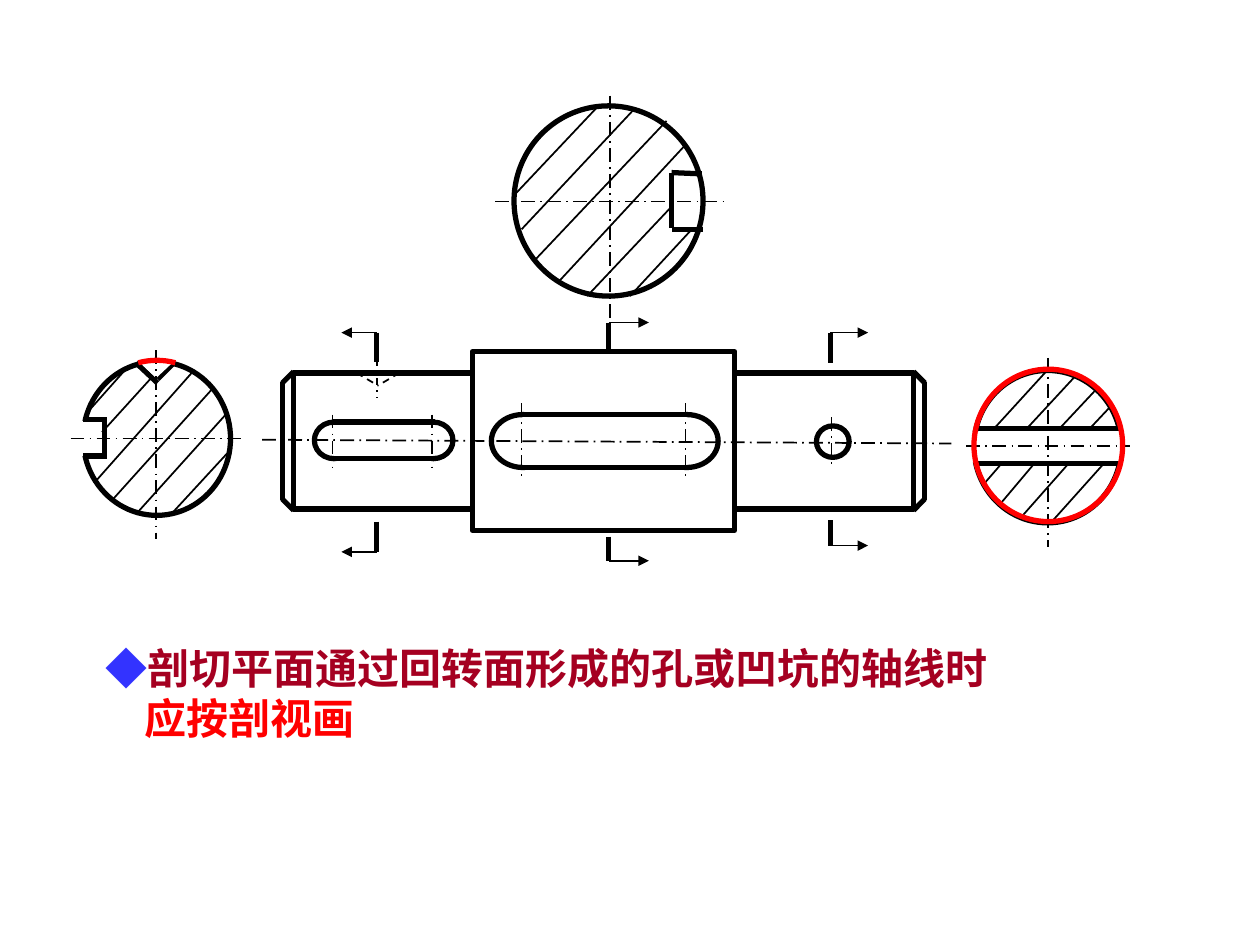
from dataclasses import dataclass

from lxml import etree
from pptx import Presentation
from pptx import util as u
from pptx.dml.color import RGBColor
from pptx.enum import dml, shapes, text
from pptx.oxml.ns import qn

BLACK, WHITE, RED = "000000", "FFFFFF", "FF0000"
BLUE, MAROON = "3333FF", "A50021"
THIN, THICK = 1, 3
DASH = dml.MSO_LINE.DASH
CENTRE = dml.MSO_LINE.LONG_DASH_DOT
KIND = shapes.MSO_SHAPE


@dataclass
class Cut:
    """Cutting-plane mark: two thick strokes with arrows in one direction."""
    x: float
    top: tuple[float, float]
    bottom: tuple[float, float]
    arrow: float


@dataclass
class Keyway:
    """Slot with round ends, given by its end centres."""
    left: float
    right: float
    top: float
    height: float
    end_width: float
    axis: tuple[float, float]


@dataclass
class ShaftEnd:
    """Outer step of the shaft with a chamfer on its free side."""
    left: float
    chamfer: float
    tip: float


CUTS = [
    Cut(4.83, (2.56, 2.77), (4.26, 4.45), 0.32),
    Cut(6.59, (2.64, 2.88), (4.13, 4.33), 0.3),
    Cut(2.99, (2.64, 2.87), (4.14, 4.38), -0.28),
]
KEYWAYS = [
    Keyway(2.64, 3.43, 3.35, 0.29, 0.31, (3.29, 3.71)),
    Keyway(4.14, 5.44, 3.29, 0.42, 0.5, (3.2, 3.8)),
]
ENDS = [ShaftEnd(2.33, 2.33, 2.24), ShaftEnd(5.83, 7.25, 7.34)]

# Hatching strokes: x1, y1, x2, y2
MIDDLE_HATCH = [
    (5, 2.35, 5.5, 1.81), (4.24, 2.07, 5.29, 0.96), (4.14, 1.82, 5.03, 0.87),
    (4.08, 1.55, 4.75, 0.84), (4.43, 2.24, 5.44, 1.15), (4.66, 2.35, 5.33, 1.64),
]
RIGHT_HATCH = [
    (8.16, 3.39, 8.53, 2.99), (7.9, 3.39, 8.32, 2.93), (8.42, 3.39, 8.71, 3.08),
    (8.65, 3.4, 8.82, 3.22), (8.2, 3.69, 7.93, 4.01), (7.81, 3.84, 7.94, 3.69),
    (8.1, 4.11, 8.48, 3.68), (8.33, 4.16, 8.76, 3.68),
]
LEFT_HATCH = [
    (1.08, 4.08, 1.81, 3.27), (0.89, 3.97, 1.7, 3.07), (0.75, 3.83, 1.53, 2.95),
    (0.81, 3.43, 1.2, 3), (0.67, 3.3, 0.99, 2.94), (1.35, 4.09, 1.82, 3.58),
]

prs = Presentation()
prs.slide_width, prs.slide_height = u.Inches(10), u.Inches(7.5)
s = prs.slides.add_slide(prs.slide_layouts[6])


def rgb(color: str) -> RGBColor:
    return RGBColor.from_string(color)


def line(x1: float, y1: float, x2: float, y2: float, width: float = THIN,
         dash=None, arrow: bool = False) -> None:
    c = s.shapes.add_connector(shapes.MSO_CONNECTOR.STRAIGHT,
                               *map(u.Inches, (x1, y1, x2, y2)))
    c.line.color.rgb = rgb(BLACK)
    c.line.width = u.Pt(width)
    if dash is not None:
        c.line.dash_style = dash
    if arrow:
        etree.SubElement(c.line._get_or_add_ln(), qn("a:tailEnd"), type="triangle")
    etree.SubElement(c._element.spPr, qn("a:effectLst"))


def lines(strokes: list[tuple], width: float = THIN, dash=None) -> None:
    for stroke in strokes:
        line(*stroke, width=width, dash=dash)


def shape(kind, x: float, y: float, w: float, h: float,
          outline: str | None = BLACK, fill: str | None = None):
    sp = s.shapes.add_shape(kind, *map(u.Inches, (x, y, w, h)))
    sp.shadow.inherit = False
    if fill:
        sp.fill.solid()
        sp.fill.fore_color.rgb = rgb(fill)
    else:
        sp.fill.background()
    if outline:
        sp.line.color.rgb = rgb(outline)
        sp.line.width = u.Pt(THICK)
    else:
        sp.line.fill.background()
    return sp


def mask(x: float, y: float, w: float, h: float, kind=KIND.RECTANGLE):
    return shape(kind, x, y, w, h, outline=None, fill=WHITE)


def add_run(p, words: str, *, color: str, size: float = 24,
            font: str = "Times New Roman", bold: bool = True) -> None:
    r = p.add_run()
    r.text = words
    r.font.name, r.font.size, r.font.bold = font, u.Pt(size), bold
    r.font.color.rgb = rgb(color)


def draw_cut(cut: Cut) -> None:
    for (y1, y2), corner in ((cut.top, cut.top[0]), (cut.bottom, cut.bottom[1])):
        line(cut.x, y1, cut.x, y2, width=THICK)
        line(cut.x, corner, cut.x + cut.arrow, corner, arrow=True)


def draw_keyway(k: Keyway) -> None:
    for x in (k.left, k.right):
        shape(KIND.OVAL, x + 0.01 - k.end_width / 2, k.top, k.end_width, k.height)
    mask(k.left + 0.01, k.top, k.right - k.left, k.height)
    for y in (k.top, k.top + k.height):
        line(k.left, y, k.right + 0.02, y, width=THICK)
    for x in (k.left, k.right):
        line(x, k.axis[0], x, k.axis[1], dash=CENTRE)


def draw_end(e: ShaftEnd) -> None:
    shape(KIND.RECTANGLE, e.left, 2.96, 1.42, 1.08)
    lines([(e.chamfer, 2.95, e.tip, 3.04), (e.chamfer, 4.05, e.tip, 3.96),
           (e.tip, 3.97, e.tip, 3.03)], THICK)


# Middle section, above the shaft
shape(KIND.OVAL, 4.08, 0.84, 1.5, 1.51)
lines(MIDDLE_HATCH)
lines([(5.33, 1.37, 5.33, 1.81), (5.33, 1.37, 5.57, 1.38),
       (5.33, 1.82, 5.58, 1.82)], THICK)
lines([(4.84, 0.76, 4.84, 2.53), (3.93, 1.6, 5.76, 1.6)], dash=CENTRE)

# Right section with the through hole
shape(KIND.OVAL, 7.73, 2.94, 1.17, 1.21)
mask(7.68, 3.43, 0.11, 0.24)
mask(8.85, 3.42, 0.09, 0.24)
lines([(7.67, 3.54, 8.97, 3.54), (8.32, 2.84, 8.32, 4.34)], dash=CENTRE)
lines([(7.73, y, 8.9, y) for y in (3.4, 3.68)], THICK)
lines(RIGHT_HATCH)
shape(KIND.OVAL, 7.73, 2.93, 1.18, 1.21, outline=RED)

# Shaft: steps, keyways, dimple, cross hole and axis
for end in ENDS:
    draw_end(end)
line(2.99, 2.85, 2.99, 3.16, dash=dml.MSO_LINE.DASH_DOT)
lines([(x, 2.96, 3, 3.06) for x in (2.83, 3.17)], dash=DASH)
shape(KIND.OVAL, 6.48, 3.38, 0.26, 0.25)
line(6.6, 3.31, 6.6, 3.72, dash=CENTRE)
shape(KIND.RECTANGLE, 3.75, 2.79, 2.08, 1.42)
for keyway in KEYWAYS:
    draw_keyway(keyway)
line(2.08, 3.49, 7.55, 3.52, dash=CENTRE)
for cut in CUTS:
    draw_cut(cut)

# Rule below the drawing
tb = s.shapes.add_textbox(*map(u.Inches, (0.74, 5.05, 8.02, 0.9)))
tf = tb.text_frame
tf.word_wrap = True
tf.auto_size = text.MSO_AUTO_SIZE.SHAPE_TO_FIT_TEXT
tf.vertical_anchor = text.MSO_ANCHOR.MIDDLE
first, second = tf.paragraphs[0], tf.add_paragraph()
add_run(first, "◆", color=BLUE)
add_run(first, "剖切平面通过回转面形成的孔或凹坑的轴线时", color=MAROON)
add_run(second, "应按剖视画", color=RED)
second._p.get_or_add_pPr().set("marL", str(u.Inches(0.31)))
for p in (first, second):
    p.line_spacing = u.Pt(28.8)

# Left section with the keyway and the dimple
shape(KIND.OVAL, 0.66, 2.87, 1.17, 1.22)
mask(0.57, 3.34, 0.25, 0.28)
lines([(0.66, 3.33, 0.85, 3.33), (0.83, 3.32, 0.83, 3.64),
       (0.66, 3.62, 0.82, 3.62), (1.08, 2.88, 1.25, 3.04)], THICK)
line(1.37, 2.89, 1.21, 3.05, width=THICK, dash=DASH)
lines(LEFT_HATCH)
mask(1.07, 2.84, 0.34, 0.16, KIND.ISOSCELES_TRIANGLE).rotation = 180
lines([(0.56, 3.48, 1.92, 3.48), (1.24, 2.78, 1.24, 4.28)], dash=CENTRE)
arc = shape(KIND.ARC, 0.66, 2.86, 1.17, 1.22, outline=RED)
for i, degrees in enumerate((256, 284)):
    arc.adjustments[i] = degrees * 0.6  # 60000 units a degree, scaled by 100000

prs.save("out.pptx")
